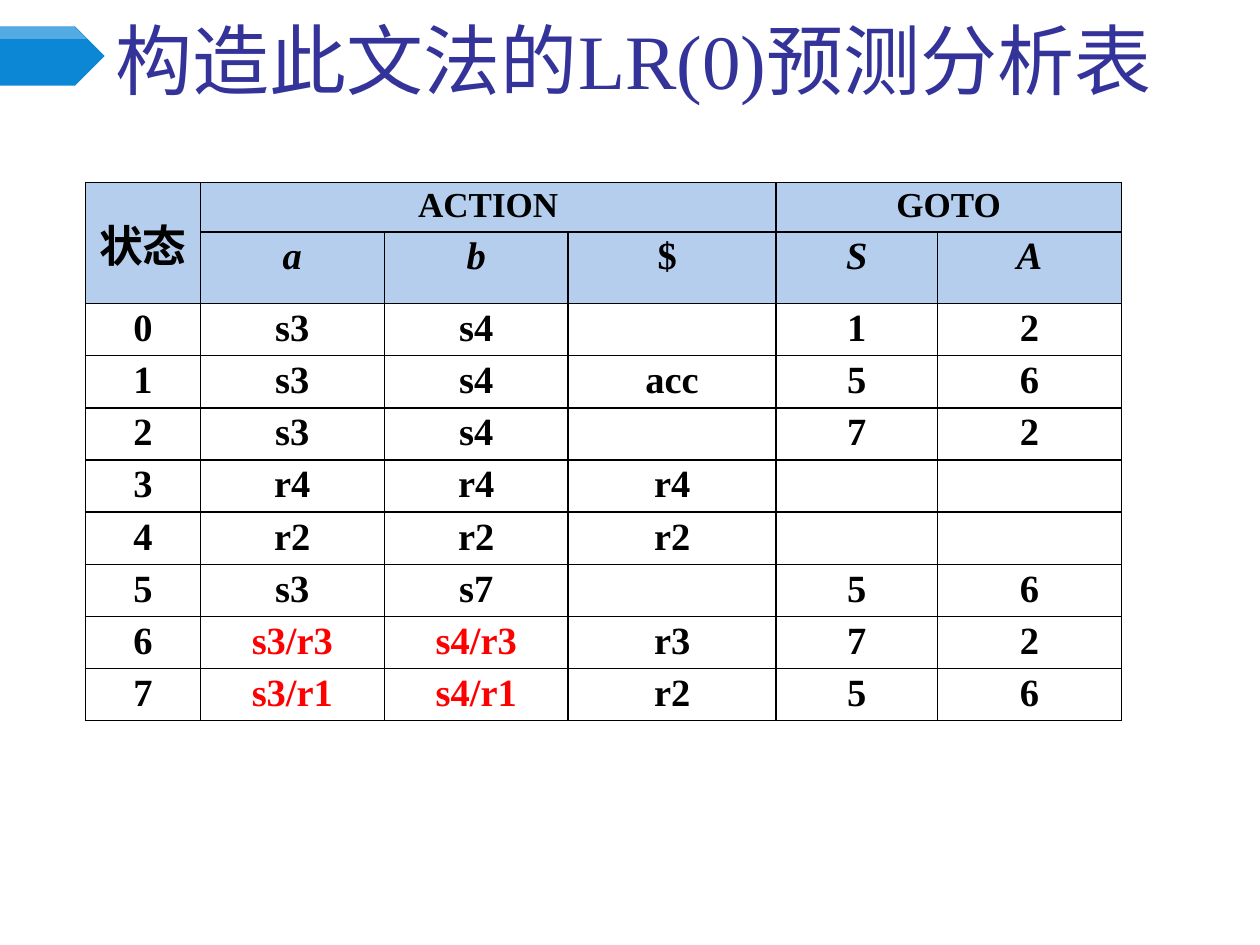
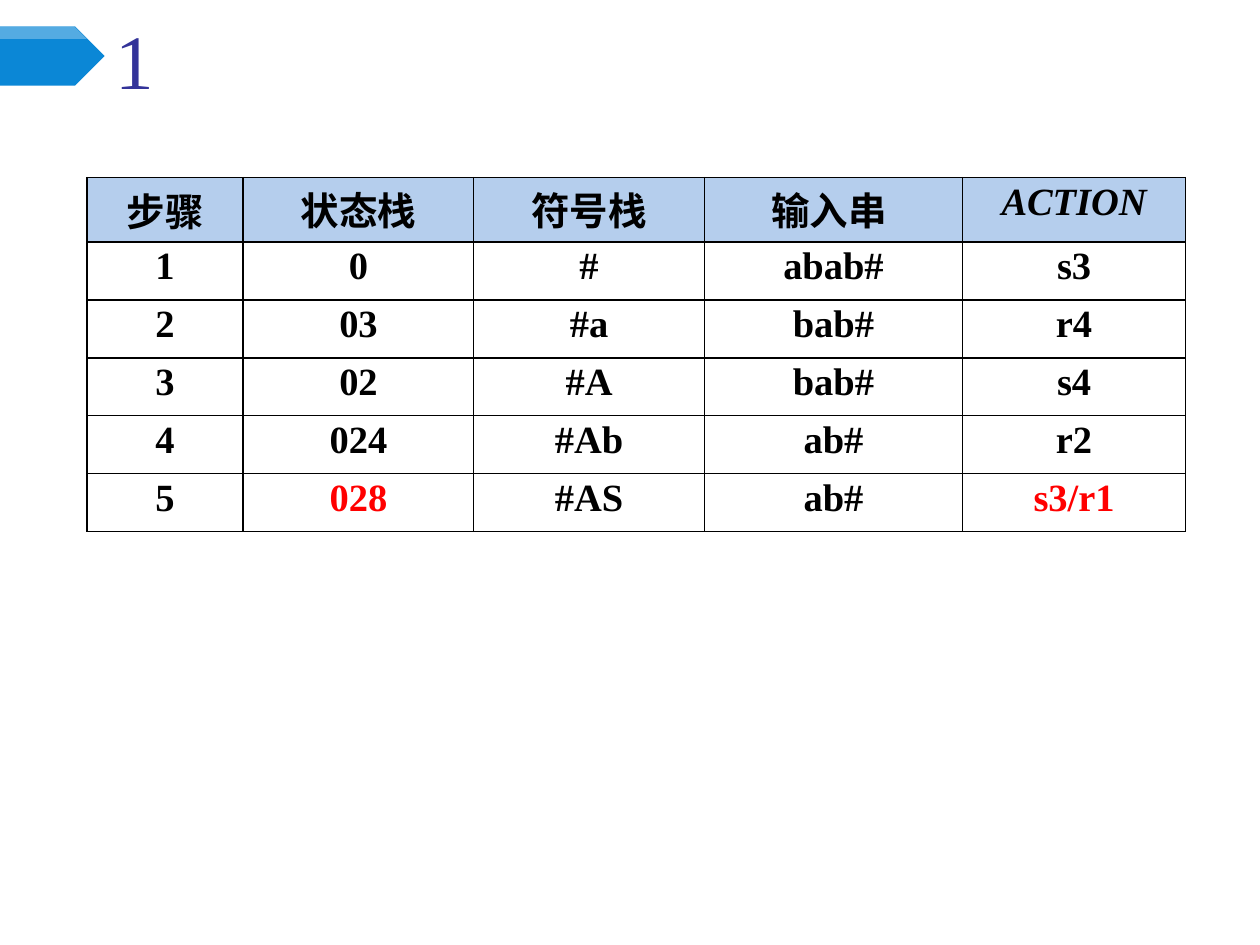
from lxml.etree import SubElement
from pptx import Presentation
from pptx.dml.color import RGBColor
from pptx.enum.shapes import MSO_SHAPE as Shape
from pptx.enum.text import MSO_ANCHOR as Anchor, PP_ALIGN as Align
from pptx.oxml.ns import qn
from pptx.util import Inches, Pt

TITLE_BLUE = RGBColor(0x33, 0x33, 0x99)
ARROW_BLUE = RGBColor(0x0B, 0x87, 0xD6)
HEADER_BLUE = RGBColor(0xB5, 0xCE, 0xED)
BLACK = RGBColor(0, 0, 0)
WHITE = RGBColor(0xFF, 0xFF, 0xFF)
RED = RGBColor(0xFF, 0, 0)
LATIN, HAN = "Times New Roman", "Noto Sans CJK SC"
ITALIC = {"italic": True}
HAN_FACE = {"face": HAN}


class Deck:
    """Builds pages on a grid of 100 columns by 75 rows with one shared style."""

    def __init__(self):
        self.file = Presentation()
        self.file.slide_width, self.file.slide_height = Inches(10), Inches(7.5)
        self.unit = self.file.slide_width // 100
        self.page = None

    def grid(self, *steps):
        return [round(step * self.unit) for step in steps]

    def add_page(self, title):
        self.page = self.file.slides.add_slide(self.file.slide_layouts[5])
        self.arrow()
        self.title(title)

    def add_span(self, para, text, size, color, face=LATIN, bold=False, italic=False):
        span = para.add_run()
        span.text = text
        font = span.font
        font.size, font.bold, font.italic, font.name = Pt(size), bold, italic, face
        font.color.rgb = color
        SubElement(font._element, qn("a:ea"), typeface=HAN)

    def paint(self, shape, color):
        shape.shadow.inherit = False
        shape.line.fill.background()
        shape.fill.solid()
        shape.fill.fore_color.rgb = color

    def arrow(self):
        shapes = self.page.shapes
        self.paint(shapes.add_shape(Shape.PENTAGON, *self.grid(0, 2.1, 8.3, 4.7)), ARROW_BLUE)
        outline = shapes.build_freeform(*self.grid(0, 2.1))
        outline.add_line_segments([self.grid(*point) for point in ((5.9, 2.1), (6.9, 3.1), (0, 3.1))])
        shine = outline.convert_to_shape()
        self.paint(shine, WHITE)
        tint = shine._element.spPr.find(qn("a:solidFill"))[0]
        SubElement(tint, qn("a:alpha"), val="30000")

    def title(self, text):
        box = self.page.shapes.title
        box.left, box.top, box.width, box.height = self.grid(8.2, 1.8, 88.8, 7)
        frame = box.text_frame
        frame.word_wrap, frame.vertical_anchor = True, Anchor.BOTTOM
        para = frame.paragraphs[0]
        para.alignment = Align.LEFT
        self.add_span(para, text, 44, TITLE_BLUE)

    def border(self, cell):
        properties = cell._tc.get_or_add_tcPr()
        for side in ("lnL", "lnR", "lnT", "lnB"):
            line = SubElement(properties, qn(f"a:{side}"), w=str(Pt(1)))
            fill = SubElement(line, qn("a:solidFill"))
            SubElement(fill, qn("a:srgbClr"), val=str(BLACK))

    def cell(self, cell, text, header, style, color):
        self.border(cell)
        cell.margin_left = cell.margin_right = Inches(0.1)
        cell.margin_top = cell.margin_bottom = Inches(0.03)
        if header:
            cell.fill.solid()
            cell.fill.fore_color.rgb = HEADER_BLUE
        else:
            cell.fill.background()
        if text:
            para = cell.text_frame.paragraphs[0]
            para.alignment = Align.CENTER
            self.add_span(para, text, **{"size": 22, "color": color, "bold": True, **style})

    def table(self, left, top, columns, rows, texts, headers, styles, alerts):
        frame = self.page.shapes.add_table(
            len(rows), len(columns), *self.grid(left, top, sum(columns), sum(rows)))
        table = frame.table
        table.first_row = table.horz_banding = False
        for column, width in zip(table.columns, self.grid(*columns)):
            column.width = width
        for row, height in zip(table.rows, self.grid(*rows)):
            row.height = height
        for row, line in enumerate(texts):
            for column, text in enumerate(line):
                self.cell(table.cell(row, column), text, row < headers,
                          styles.get(text, {}) if row < headers else {},
                          RED if text in alerts else BLACK)
        table.cell(0, 0).vertical_anchor = Anchor.MIDDLE
        return table


def parsing_table(deck):
    deck.add_page("构造此文法的LR(0)预测分析表")
    texts = [
        ["状态", "ACTION", "", "", "GOTO", ""],
        ["", "a", "b", "$ ", "S", "A"],
        ["0", "s3", "s4", "", "1", "2"],
        ["1", "s3", "s4", "acc", "5", "6"],
        ["2", "s3", "s4", "", "7", "2"],
        ["3", "r4", "r4", "r4", "", ""],
        ["4", "r2", "r2", "r2", "", ""],
        ["5", "s3", "s7", "", "5", "6"],
        ["6", "s3/r3", "s4/r3", "r3", "7", "2"],
        ["7", "s3/r1", "s4/r1", "r2", "5", "6"],
    ]
    styles = {"状态": {"size": 25, **HAN_FACE}, "ACTION": {"size": 20}, "GOTO": {"size": 20},
              **dict.fromkeys("abSA", ITALIC)}
    table = deck.table(6.8, 14.5, [9.1, 14.6, 14.6, 16.5, 12.8, 14.6], [3.9, 5.7] + [4.14] * 8,
                       texts, 2, styles, {"s3/r3", "s4/r3", "s3/r1", "s4/r1"})
    for start, end in (((0, 0), (1, 0)), ((0, 1), (0, 3)), ((0, 4), (0, 5))):
        table.cell(*start).merge(table.cell(*end))


def parsing_steps(deck):
    deck.add_page("1")
    texts = [
        ["步骤", "状态栈", "符号栈", "输入串 ", "ACTION"],
        ["1", "0", "#", "abab#", "s3"],
        ["2", "03", "#a", "bab#", "r4"],
        ["3", "02", "#A", "bab#", "s4"],
        ["4", "024", "#Ab", "ab#", "r2"],
        ["5", "028", "#AS", "ab#", "s3/r1"],
    ]
    styles = {**dict.fromkeys(texts[0][:3], HAN_FACE), "ACTION": ITALIC}
    deck.table(6.9, 14.1, [12.4, 18.3, 18.3, 20.5, 17.7], [5.1] + [4.6] * 5,
               texts, 1, styles, {"028", "s3/r1"})


def main():
    deck = Deck()
    parsing_table(deck)
    parsing_steps(deck)
    deck.file.save("out.pptx")


if __name__ == "__main__":
    main()
